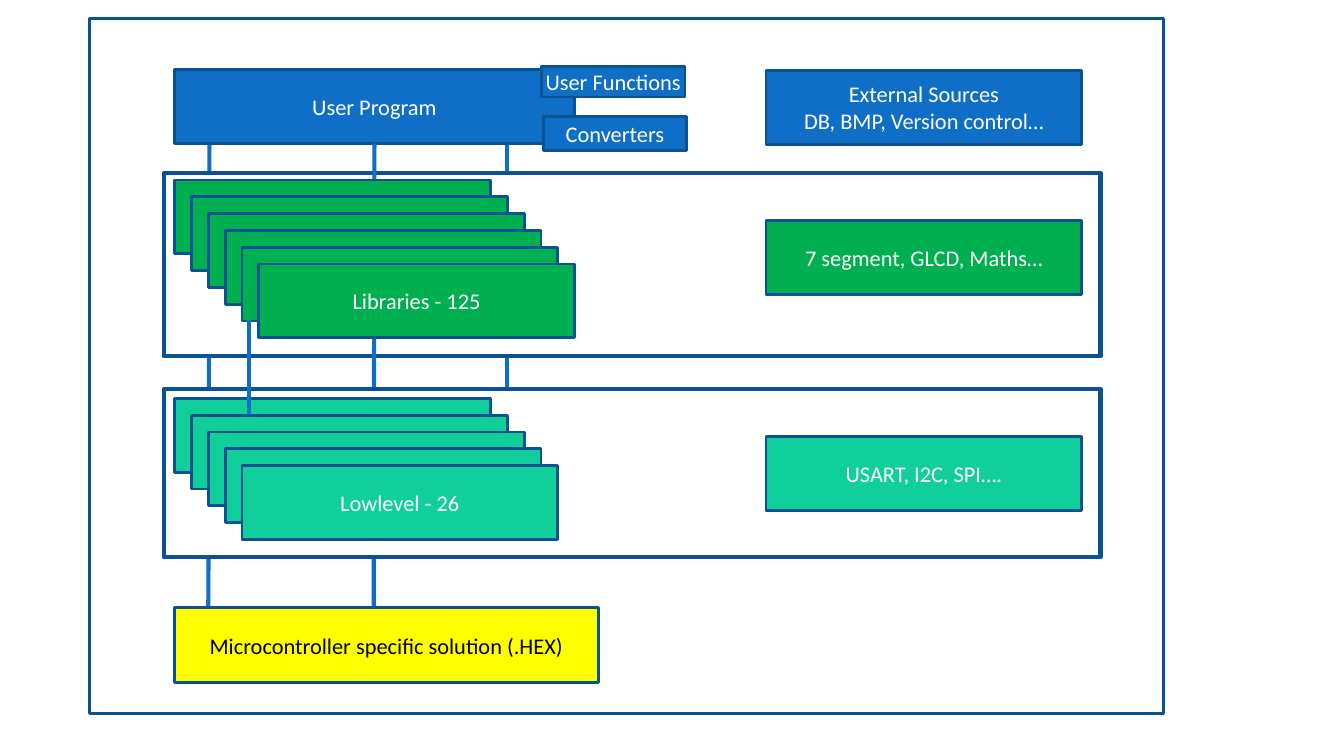
from lxml.etree import SubElement
from pptx import Presentation
from pptx.dml.color import RGBColor
from pptx.enum.shapes import MSO_CONNECTOR, MSO_SHAPE
from pptx.enum.text import MSO_ANCHOR, PP_ALIGN
from pptx.oxml.ns import qn
from pptx.util import Pt

WHITE, BLACK = "FFFFFF", "000000"
BLUE, DARK_BLUE = "0F6FC6", "0B5292"
GREEN, TEAL, YELLOW = "00B050", "10CF9B", "FFFF00"
CARD_WIDTH, CARD_HEIGHT, STACK_STEP = 169.2, 39.6, 9
LEFT, SOURCE_LEFT = 93.6, 410.4


def color(hex_string):
    """Turn a hex string into a colour."""
    return RGBColor.from_string(hex_string)


def add_box(slide, left, top, width, height, fill, lines=(), line_width=1.5,
            text_color=WHITE, insets=(5.4, 2.7)):
    """Add an outlined rectangle with centred lines of text."""
    shape = slide.shapes.add_shape(
        MSO_SHAPE.RECTANGLE, Pt(left), Pt(top), Pt(width), Pt(height))
    shape.shadow.inherit = False
    shape.fill.solid()
    shape.fill.fore_color.rgb = color(fill)
    shape.line.color.rgb = color(DARK_BLUE)
    shape.line.width = Pt(line_width)
    frame = shape.text_frame
    frame.word_wrap = True
    frame.vertical_anchor = MSO_ANCHOR.MIDDLE
    frame.margin_left = frame.margin_right = Pt(insets[0])
    frame.margin_top = frame.margin_bottom = Pt(insets[1])
    for index, text in enumerate(lines):
        paragraph = frame.add_paragraph() if index else frame.paragraphs[0]
        paragraph.alignment = PP_ALIGN.CENTER
        run = paragraph.add_run()
        run.text = text
        run.font.name = "Calibri"
        run.font.size = Pt(12)
        run.font.color.rgb = color(text_color)
    return shape


def add_card(slide, left, top, fill, *lines):
    """Add a box of the common card size."""
    return add_box(slide, left, top, CARD_WIDTH, CARD_HEIGHT, fill, lines)


def add_panel(slide, top, height):
    """Add the white frame around one layer."""
    add_box(slide, 87.8, top, 501.8, height, WHITE, line_width=2.25)


def add_stack(slide, top, count, fill, label):
    """Add overlapping cards with a label on the front one."""
    for index in range(count):
        offset = index * STACK_STEP
        lines = [label] if index == count - 1 else []
        add_card(slide, LEFT + offset, top + offset, fill, *lines)


def add_tag(slide, left, top, height, label):
    """Add a small box without insets beside the user program."""
    add_box(slide, left, top, 77, height, BLUE, [label], insets=(0, 0))


def add_line(slide, start_x, start_y, end_x, end_y):
    """Add a straight connector."""
    connector = slide.shapes.add_connector(
        MSO_CONNECTOR.STRAIGHT, Pt(start_x), Pt(start_y), Pt(end_x), Pt(end_y))
    connector.line.color.rgb = color(BLUE)
    connector.line.width = Pt(2.25)
    SubElement(connector._element.spPr, qn("a:effectLst"))
    return connector


def main():
    """Build the layered architecture slide."""
    presentation = Presentation()
    presentation.slide_width, presentation.slide_height = Pt(720), Pt(405)
    slide = presentation.slides.add_slide(presentation.slide_layouts[6])

    add_box(slide, 48, 9.8, 575.5, 372.5, WHITE)
    add_line(slide, 112.2, 73.4, 111.6, 326)
    add_line(slide, 271.6, 77, 271.6, 208.8)
    add_panel(slide, 92.9, 98)
    program = add_box(slide, LEFT, 37.3, 214, CARD_HEIGHT, BLUE, ["User Program"])
    program_line = add_line(slide, 200.6, 76.9, 200.2, 325.4)
    program_line.begin_connect(program, 2)
    add_panel(slide, 208.6, 90)

    add_stack(slide, 96.4, 6, GREEN, "Libraries - 125")
    add_stack(slide, 213.4, 5, TEAL, "Lowlevel - 26")
    add_tag(slide, 290, 35.5, 16.5, "User Functions")
    add_tag(slide, 291, 62.5, 18.3, "Converters")
    add_box(slide, LEFT, 325.6, 227, 40, YELLOW,
            ["Microcontroller specific solution (.HEX)"], text_color=BLACK)

    add_card(slide, SOURCE_LEFT, 37.7, BLUE,
             "External Sources", "DB, BMP, Version control…")
    add_card(slide, SOURCE_LEFT, 118.2, GREEN, "7 segment, GLCD, Maths…")
    add_card(slide, SOURCE_LEFT, 233.8, TEAL, "USART, I2C, SPI….")
    add_line(slide, 133.4, 171.6, 133.4, 222.4)

    presentation.save("out.pptx")


if __name__ == "__main__":
    main()
